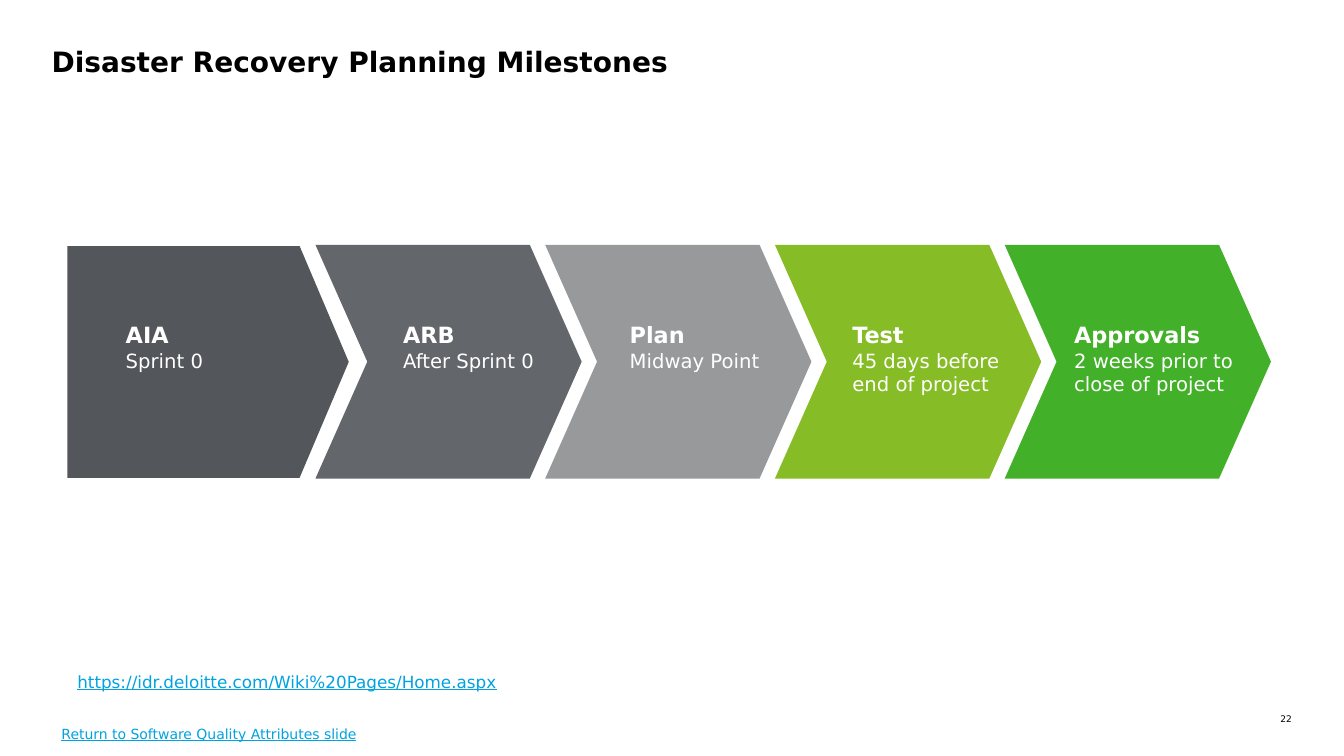
from dataclasses import dataclass

from pptx import Presentation
from pptx.dml.color import RGBColor
from pptx.enum.shapes import MSO_SHAPE as Preset
from pptx.enum.text import MSO_ANCHOR as Anchor, MSO_AUTO_SIZE as AutoSize, PP_ALIGN as Align
from pptx.slide import Slide
from pptx.text.text import TextFrame, _Paragraph as Paragraph
from pptx.util import Cm, Pt

FONT = "DejaVu Sans"
BLACK = RGBColor(0x00, 0x00, 0x00)
WHITE = RGBColor(0xFF, 0xFF, 0xFF)
LINK_BLUE = RGBColor(0x00, 0xA3, 0xE0)
CHARCOAL = RGBColor(0x53, 0x56, 0x5A)
SLATE = RGBColor(0x63, 0x66, 0x6A)
SILVER = RGBColor(0x97, 0x99, 0x9B)
LIME = RGBColor(0x86, 0xBC, 0x25)
GREEN = RGBColor(0x43, 0xB0, 0x2A)


@dataclass(frozen=True)
class Box:
    """Left, top, width and height in centimetres."""
    left: float
    top: float
    width: float
    height: float

    def lengths(self) -> tuple[Cm, Cm, Cm, Cm]:
        return Cm(self.left), Cm(self.top), Cm(self.width), Cm(self.height)


@dataclass(frozen=True)
class Milestone:
    name: str
    timing: str
    fill: RGBColor
    label_left: float


MILESTONES = [
    Milestone("AIA", "Sprint 0", CHARCOAL, 2.92),
    Milestone("ARB", "After Sprint 0", SLATE, 9.91),
    Milestone("Plan", "Midway Point", SILVER, 15.62),
    Milestone("Test", "45 days before end of project", LIME, 21.23),
    Milestone("Approvals", "2 weeks prior to close of project", GREEN, 26.82),
]
START_BOX = Box(1.7, 6.2, 7.09, 5.84)
CHEVRON_LEFT = 7.95
CHEVRON_STEP = 5.79


def add_run(paragraph: Paragraph, text: str, size: float, color: RGBColor,
            bold: bool = False, underline: bool = False) -> None:
    run = paragraph.add_run()
    run.text = text
    font = run.font
    font.name = FONT
    font.size = Pt(size)
    font.color.rgb = color
    font.bold = bold
    font.underline = underline


def set_margins(frame: TextFrame, margin: float) -> None:
    frame.margin_left = frame.margin_right = Cm(margin)
    frame.margin_top = frame.margin_bottom = Cm(margin)


def add_text_frame(slide: Slide, box: Box) -> TextFrame:
    frame = slide.shapes.add_textbox(*box.lengths()).text_frame
    frame.word_wrap = True
    return frame


def add_title(slide: Slide, text: str) -> None:
    title = slide.shapes.title
    title.left, title.top, title.width, title.height = Box(1.3, 1.12, 31.27, 1.93).lengths()
    frame = title.text_frame
    set_margins(frame, 0)
    frame.auto_size = AutoSize.NONE
    frame.vertical_anchor = Anchor.TOP
    heading = frame.paragraphs[0]
    heading.alignment = Align.LEFT
    add_run(heading, text, 20, BLACK, bold=True)


def add_arrow(slide: Slide, index: int, milestone: Milestone) -> None:
    if index == 0:
        preset, box, point = Preset.PENTAGON, START_BOX, 0.212
    else:
        left = CHEVRON_LEFT + (index - 1) * CHEVRON_STEP
        preset, box, point = Preset.CHEVRON, Box(left, 6.17, 6.71, 5.89), 0.222
    arrow = slide.shapes.add_shape(preset, *box.lengths())
    arrow.adjustments[0] = point
    arrow.shadow.inherit = False
    arrow.fill.solid()
    arrow.fill.fore_color.rgb = milestone.fill
    arrow.line.fill.background()


def add_label(slide: Slide, milestone: Milestone) -> None:
    frame = add_text_frame(slide, Box(milestone.label_left, 7.98, 5.03, 1.55))
    add_run(frame.paragraphs[0], milestone.name, 16, WHITE, bold=True)
    add_run(frame.add_paragraph(), milestone.timing, 14, WHITE)


def add_footer(slide: Slide) -> None:
    """Add the wiki address, the return line and the page number."""
    wiki = add_text_frame(slide, Box(1.7, 16.8, 22.86, 0.75))
    add_run(wiki.paragraphs[0], "https://idr.deloitte.com/Wiki%20Pages/Home.aspx",
            12, LINK_BLUE, underline=True)

    back = add_text_frame(slide, Box(1.3, 18.19, 8.46, 0.58))
    set_margins(back, 0.25)
    back.vertical_anchor = Anchor.MIDDLE
    back.paragraphs[0].line_spacing = 1.06
    add_run(back.paragraphs[0], "Return to Software Quality Attributes slide",
            10, LINK_BLUE, underline=True)

    page = add_text_frame(slide, Box(31.7, 17.98, 0.86, 0.28))
    set_margins(page, 0)
    page.paragraphs[0].alignment = Align.RIGHT
    add_run(page.paragraphs[0], "22", 6.5, BLACK)


def main() -> None:
    deck = Presentation()
    deck.slide_width, deck.slide_height = Cm(33.87), Cm(19.05)
    slide = deck.slides.add_slide(deck.slide_layouts.get_by_name("Title Only"))
    add_title(slide, "Disaster Recovery Planning Milestones")
    for index, milestone in enumerate(MILESTONES):
        add_arrow(slide, index, milestone)
    for milestone in MILESTONES:
        add_label(slide, milestone)
    add_footer(slide)
    deck.save("out.pptx")


if __name__ == "__main__":
    main()
